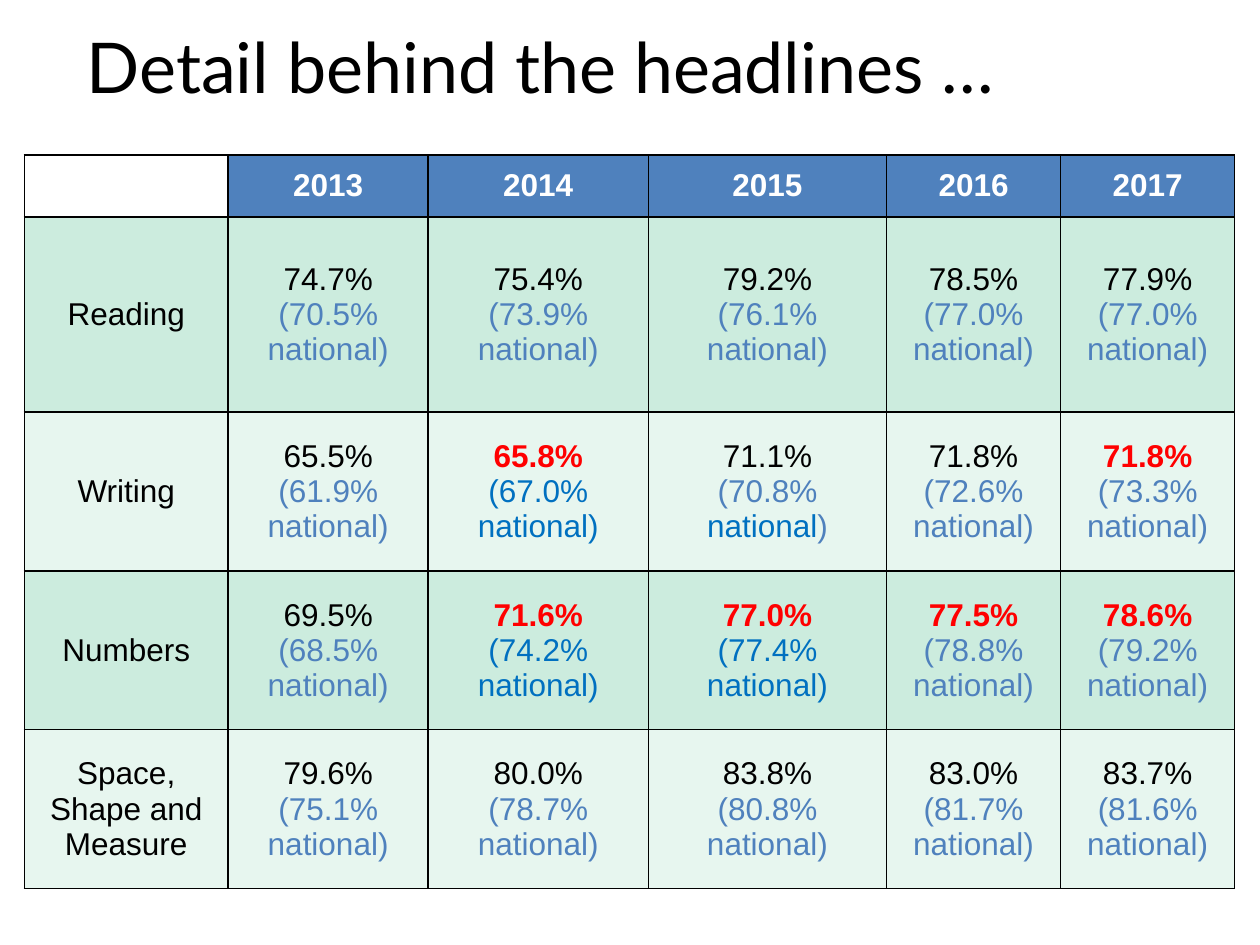
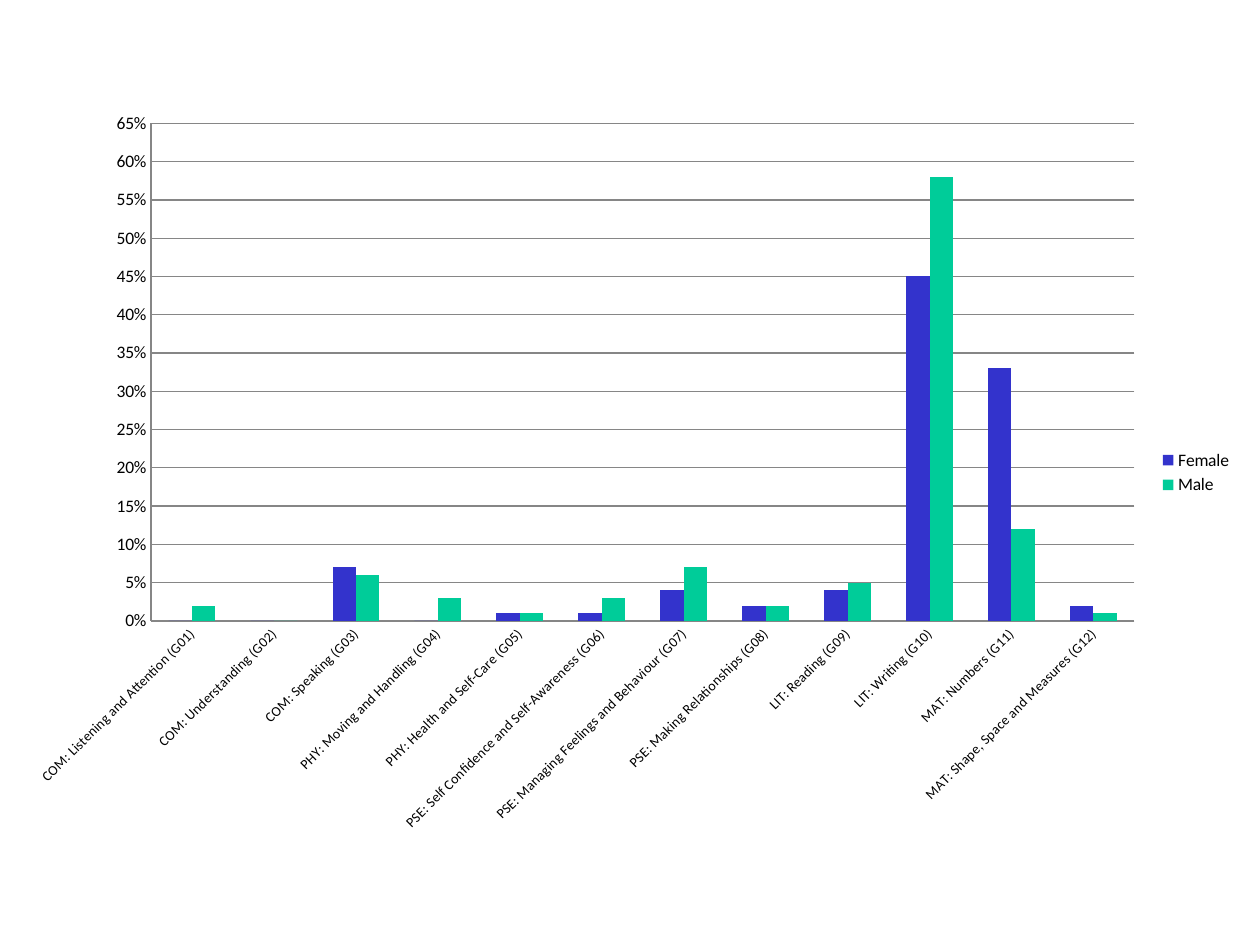
"""Builds two slides on early learning goals: a results table and a gender chart."""
from dataclasses import dataclass

from lxml import etree
from pptx import Presentation
from pptx import util as u
from pptx.chart.data import CategoryChartData
from pptx.dml.color import RGBColor
from pptx.enum import chart as ch, text
from pptx.oxml import parse_xml
from pptx.oxml.ns import nsdecls, qn


@dataclass(frozen=True)
class Theme:
    """Colours, fonts and type sizes shared by the slides."""
    ink: str = "000000"
    paper: str = "FFFFFF"
    header: str = "4F81BD"
    national: str = "4F81BD"
    strong_national: str = "0070C0"
    alert: str = "FF0000"
    bands: tuple = ("CCECDE", "E7F6EF")
    grid: str = "868686"
    female: str = "3333CC"
    male: str = "00CC99"
    title_font: str = "Lato"
    table_font: str = "Arial"
    chart_font: str = "Calibri"
    title_size: int = 40
    table_size: int = 18
    chart_size: int = 10
    category_size: int = 8


THEME = Theme()

YEARS = ["2013", "2014", "2015", "2016", "2017"]
RESULTS = {
    "Reading": [("74.7%", "70.5%"), ("75.4%", "73.9%"), ("79.2%", "76.1%"),
                ("78.5%", "77.0%"), ("77.9%", "77.0%")],
    "Writing": [("65.5%", "61.9%"), ("65.8%", "67.0%"), ("71.1%", "70.8%"),
                ("71.8%", "72.6%"), ("71.8%", "73.3%")],
    "Numbers": [("69.5%", "68.5%"), ("71.6%", "74.2%"), ("77.0%", "77.4%"),
                ("77.5%", "78.8%"), ("78.6%", "79.2%")],
    "Space, Shape and Measure": [("79.6%", "75.1%"), ("80.0%", "78.7%"), ("83.8%", "80.8%"),
                                 ("83.0%", "81.7%"), ("83.7%", "81.6%")],
}
ALERTS = {("Writing", "2014"), ("Writing", "2017"), ("Numbers", "2014"),
          ("Numbers", "2015"), ("Numbers", "2016"), ("Numbers", "2017")}
STRONG_NATIONAL = {("Writing", "2014"), ("Numbers", "2014"), ("Numbers", "2015")}
STRONG_WORD = {("Writing", "2015")}
COLUMN_WIDTHS = [4.11, 4.03, 4.44, 4.8, 3.51, 3.51]
ROW_HEIGHTS = [1.25, 3.94, 3.2, 3.2, 3.2]

GOALS = {
    "COM: Listening and Attention (G01)": (0, 0.02),
    "COM: Understanding (G02)": (0, 0),
    "COM: Speaking (G03)": (0.07, 0.06),
    "PHY: Moving and Handling (G04)": (0, 0.03),
    "PHY: Health and Self-Care (G05)": (0.01, 0.01),
    "PSE: Self Confidence and Self-Awareness (G06)": (0.01, 0.03),
    "PSE: Managing Feelings and Behaviour (G07)": (0.04, 0.07),
    "PSE: Making Relationships (G08)": (0.02, 0.02),
    "LIT: Reading (G09)": (0.04, 0.05),
    "LIT: Writing (G10)": (0.45, 0.58),
    "MAT: Numbers (G11)": (0.33, 0.12),
    "MAT: Shape, Space and Measures (G12)": (0.02, 0.01),
}


def style_font(font, name, size, colour, bold=False):
    """Set the face, size, colour and weight of a font."""
    font.name, font.size, font.bold = name, u.Pt(size), bold
    font.color.rgb = RGBColor.from_string(colour)


def add_span(para, words, name, size, colour, bold=False):
    """Append one styled run to a paragraph."""
    span = para.add_run()
    span.text = words
    style_font(span.font, name, size, colour, bold)


def add_title(page, words):
    """Place the slide title."""
    box = page.shapes.add_textbox(u.Cm(1.5), u.Cm(0.32), u.Cm(22.4), u.Cm(2))
    frame = box.text_frame
    frame.word_wrap = True
    frame.vertical_anchor = text.MSO_ANCHOR.MIDDLE
    add_span(frame.paragraphs[0], words, THEME.title_font, THEME.title_size, THEME.ink)


def outline_cell(cell):
    """Draw a one-point line on all four sides of a cell."""
    properties = cell._tc.get_or_add_tcPr()
    for position, side in enumerate(("lnL", "lnR", "lnT", "lnB")):
        properties.insert(position, parse_xml(
            f'<a:{side} {nsdecls("a")} w="12700"><a:solidFill>'
            f'<a:srgbClr val="{THEME.ink}"/></a:solidFill></a:{side}>'))


def fill_cell(cell, lines, colour=None):
    """Write lines of (words, colour, bold) spans into an outlined cell."""
    cell.vertical_anchor = text.MSO_ANCHOR.MIDDLE
    if colour:
        cell.fill.solid()
        cell.fill.fore_color.rgb = RGBColor.from_string(colour)
    else:
        cell.fill.background()
    for index, spans in enumerate(lines):
        para = cell.text_frame.paragraphs[0] if index == 0 else cell.text_frame.add_paragraph()
        para.alignment = text.PP_ALIGN.CENTER
        for words, ink, bold in spans:
            add_span(para, words, THEME.table_font, THEME.table_size, ink, bold)
    outline_cell(cell)


def result_lines(key, local, national):
    """Return the local figure and the national figure as two lines of spans."""
    alert = key in ALERTS
    first = [(local, THEME.alert if alert else THEME.ink, alert)]
    if key in STRONG_WORD:
        second = [(f"({national} ", THEME.national, False),
                  ("national", THEME.strong_national, False),
                  (")", THEME.national, False)]
    else:
        colour = THEME.strong_national if key in STRONG_NATIONAL else THEME.national
        second = [(f"({national} national)", colour, False)]
    return [first, second]


def add_results_table(page):
    """Add the table of results by area and year."""
    table = page.shapes.add_table(
        len(ROW_HEIGHTS), len(COLUMN_WIDTHS), u.Cm(0.49), u.Cm(3.12),
        u.Cm(sum(COLUMN_WIDTHS)), u.Cm(sum(ROW_HEIGHTS))).table
    table.first_row = table.horz_banding = False
    for column, width in zip(table.columns, COLUMN_WIDTHS):
        column.width = u.Cm(width)
    for row, height in zip(table.rows, ROW_HEIGHTS):
        row.height = u.Cm(height)
    fill_cell(table.cell(0, 0), [])
    for column, year in enumerate(YEARS, 1):
        fill_cell(table.cell(0, column), [[(year, THEME.paper, True)]], THEME.header)
    for row, (area, figures) in enumerate(RESULTS.items(), 1):
        band = THEME.bands[(row - 1) % 2]
        fill_cell(table.cell(row, 0), [[(area, THEME.ink, False)]], band)
        for column, (year, (local, national)) in enumerate(zip(YEARS, figures), 1):
            fill_cell(table.cell(row, column), result_lines((area, year), local, national), band)


def style_axis(axis, size):
    """Give an axis its font, a grey line and no tick marks."""
    axis.major_tick_mark = axis.minor_tick_mark = ch.XL_TICK_MARK.NONE
    axis.format.line.color.rgb = RGBColor.from_string(THEME.grid)
    style_font(axis.tick_labels.font, THEME.chart_font, size, THEME.ink)


def place_plot(chart, **fractions):
    """Fix the inner plot area as fractions of the chart."""
    area = chart._chartSpace.find(".//" + qn("c:plotArea"))
    for old in area.findall(qn("c:layout")):
        area.remove(old)
    layout = etree.Element(qn("c:layout"))
    manual = etree.SubElement(layout, qn("c:manualLayout"))
    settings = {"layoutTarget": "inner", "xMode": "edge", "yMode": "edge", **fractions}
    for tag, value in settings.items():
        etree.SubElement(manual, qn(f"c:{tag}")).set("val", str(value))
    area.insert(0, layout)


def add_gender_chart(page):
    """Add the clustered columns comparing girls and boys by goal."""
    data = CategoryChartData(number_format="0%")
    data.categories = list(GOALS)
    for name, values in zip(("Female", "Male"), zip(*GOALS.values())):
        data.add_series(name, values)
    chart = page.shapes.add_chart(
        ch.XL_CHART_TYPE.COLUMN_CLUSTERED, u.Cm(0.32), u.Cm(2.04),
        u.Cm(24.78), u.Cm(14.97), data).chart
    style_font(chart.font, THEME.table_font, THEME.chart_size, THEME.ink)
    chart.has_title = False
    chart.has_legend = True
    chart.legend.position = ch.XL_LEGEND_POSITION.RIGHT
    chart.legend.include_in_layout = False
    style_font(chart.legend.font, THEME.chart_font, THEME.chart_size, THEME.ink)

    plot = chart.plots[0]
    plot.gap_width, plot.overlap, plot.vary_by_categories = 150, 0, False
    for series, colour in zip(plot.series, (THEME.female, THEME.male)):
        series.format.fill.solid()
        series.format.fill.fore_color.rgb = RGBColor.from_string(colour)

    style_axis(chart.category_axis, THEME.category_size)
    chart.category_axis._element.find(".//" + qn("a:bodyPr")).set("rot", "-2700000")
    scale = chart.value_axis
    style_axis(scale, THEME.chart_size)
    scale.minimum_scale, scale.maximum_scale, scale.major_unit = 0, 0.65, 0.05
    scale.tick_labels.number_format = "0%"
    scale.tick_labels.number_format_is_linked = False
    scale.has_major_gridlines = True
    scale.major_gridlines.format.line.color.rgb = RGBColor.from_string(THEME.grid)
    place_plot(chart, x=0.11, y=0.03, w=0.8, h=0.67)


def main():
    """Build and save the deck."""
    deck = Presentation()
    deck.slide_width, deck.slide_height = u.Cm(25.4), u.Cm(19.05)
    blank = deck.slide_layouts[6]

    results_page = deck.slides.add_slide(blank)
    add_results_table(results_page)
    add_title(results_page, "Detail behind the headlines …")

    add_gender_chart(deck.slides.add_slide(blank))
    deck.save("out.pptx")


if __name__ == "__main__":
    main()
